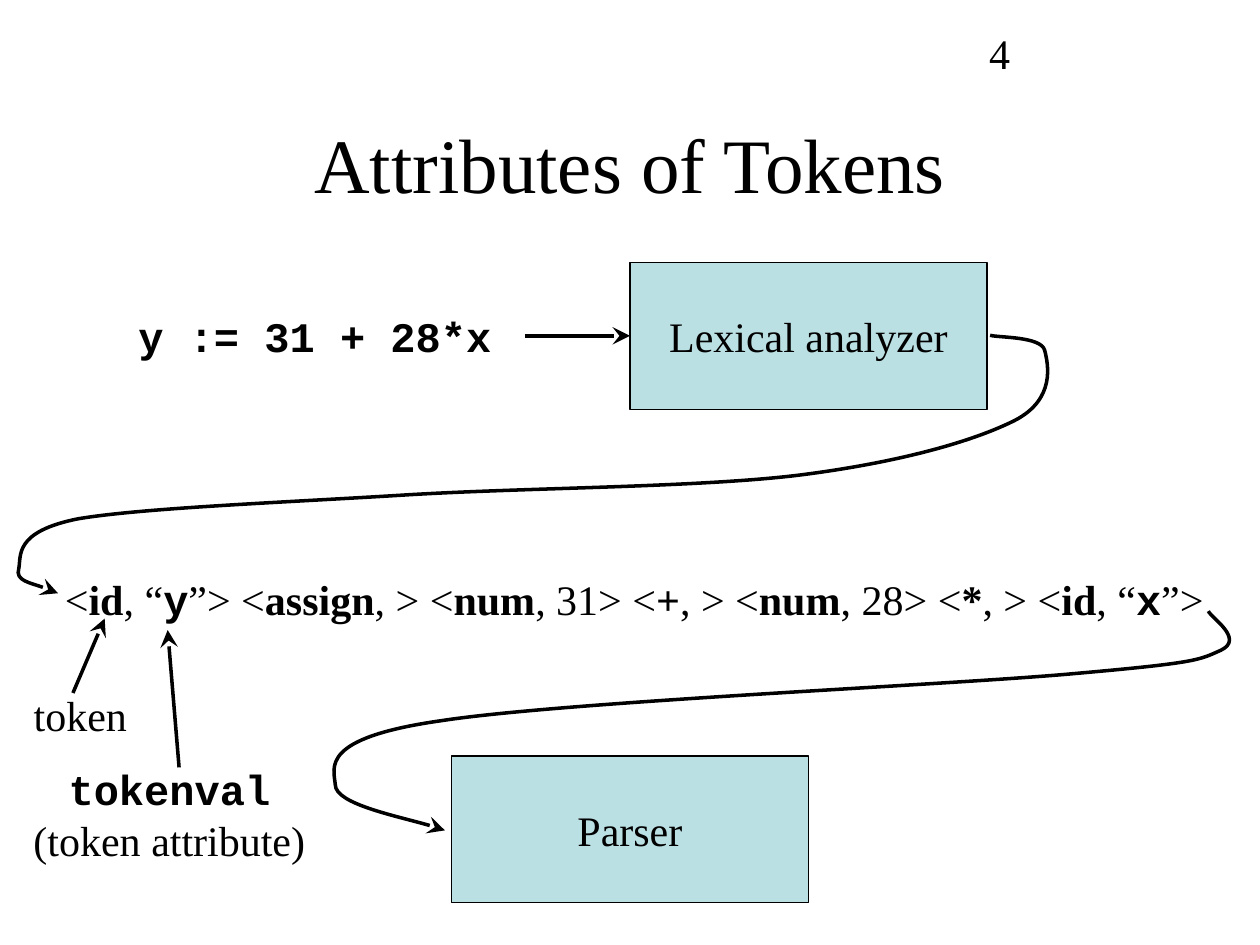
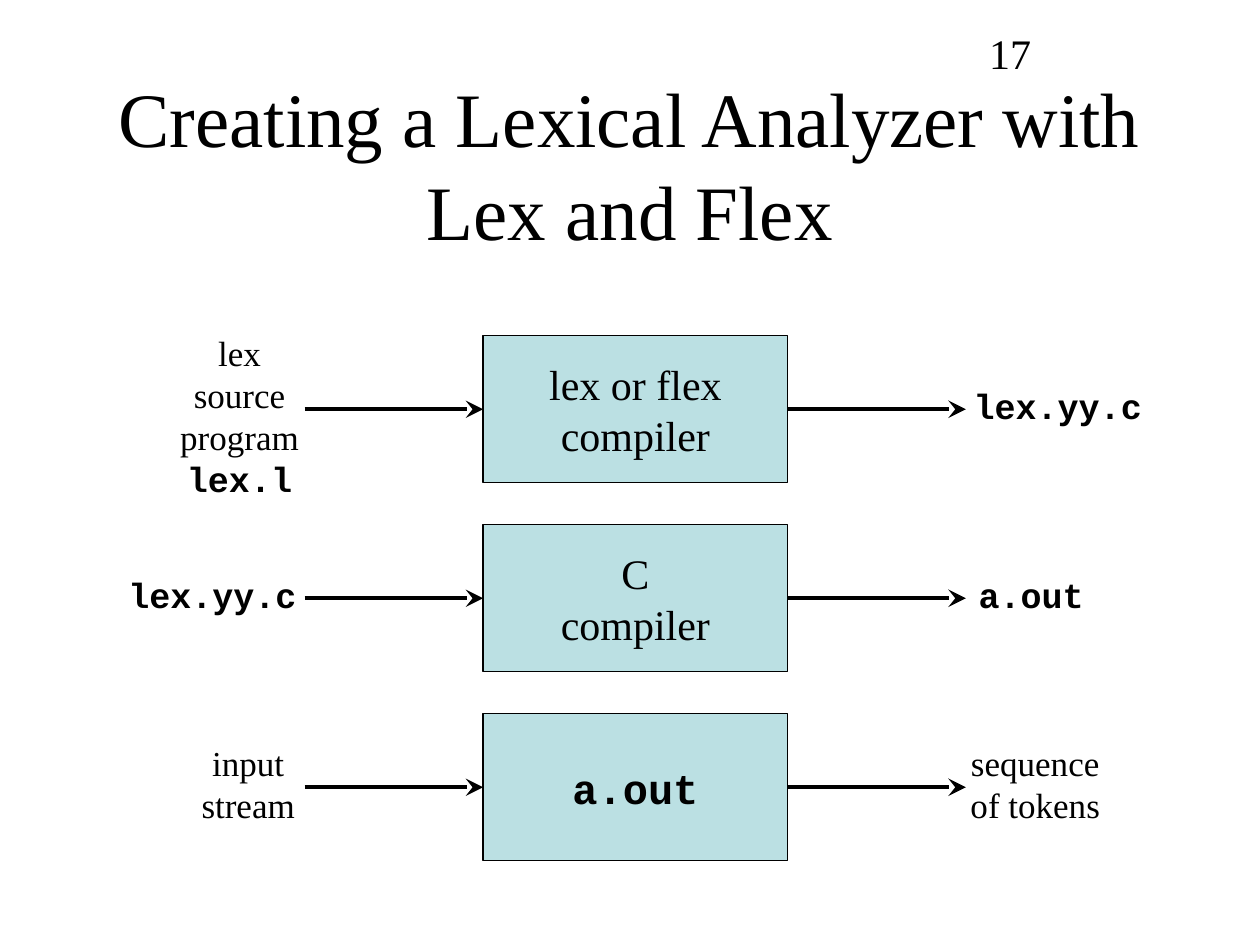
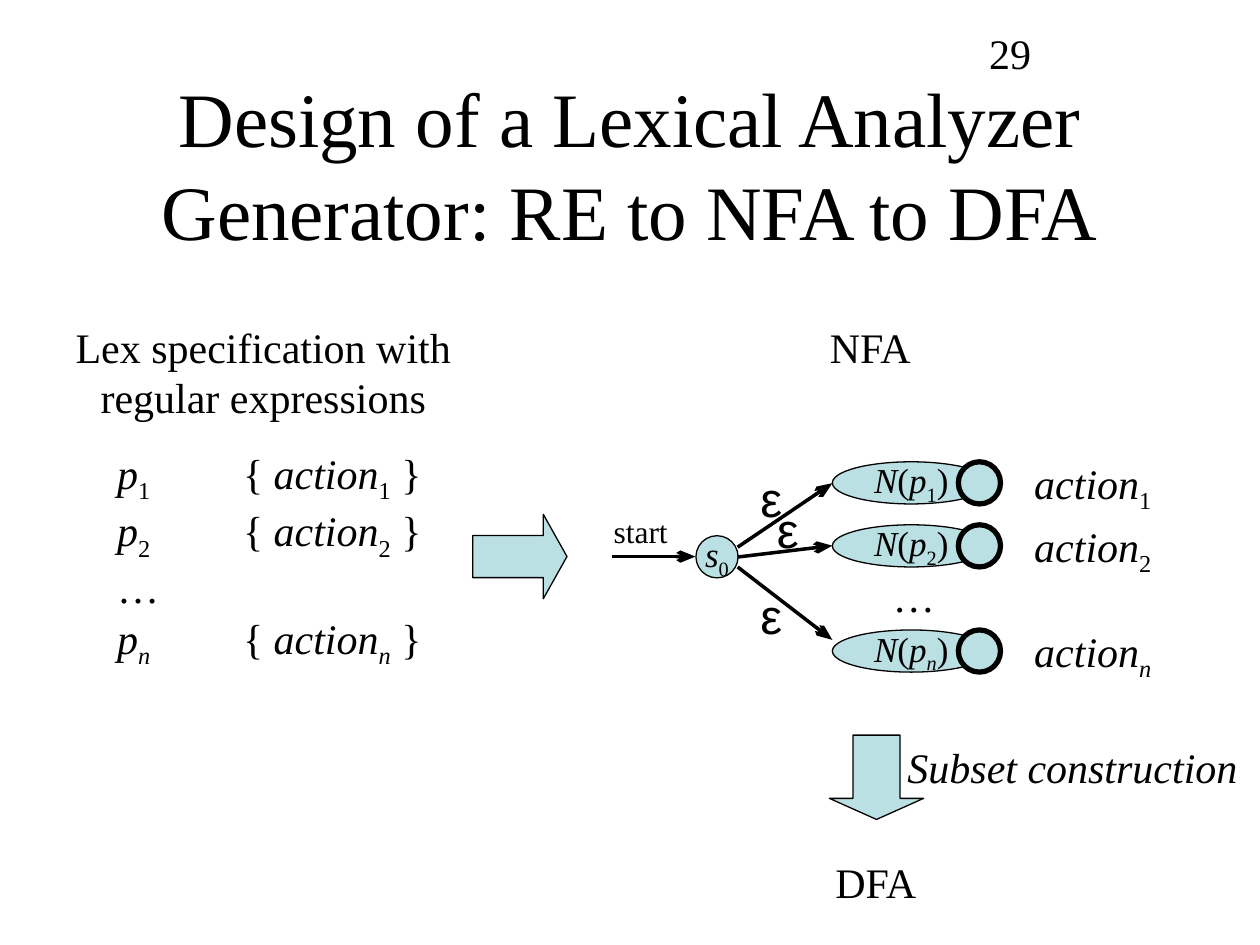
from pptx import Presentation
from pptx.dml.color import RGBColor
from pptx.enum.shapes import MSO_CONNECTOR, MSO_SHAPE
from pptx.enum.text import MSO_ANCHOR, MSO_AUTO_SIZE, PP_ALIGN
from pptx.oxml.ns import qn
from pptx.util import Cm, Pt
from lxml.etree import SubElement

BLACK = RGBColor(0, 0, 0)
TEAL = RGBColor(0xBB, 0xE0, 0xE3)
SERIF, MONO, SANS = "Times New Roman", "Courier New", "Arial"
BOX_H = 2.96
DOT = 0.85
SLACK = 0.1


def write(frame, runs, size=24, align=PP_ALIGN.LEFT, font=SERIF, tab=None):
    """Fill a frame with (text, style) runs: b bold, i italic, m mono, s subscript."""
    para = frame.paragraphs[0]
    para.alignment = align
    if tab:
        stops = SubElement(para._p.get_or_add_pPr(), qn("a:tabLst"))
        SubElement(stops, qn("a:tab"), pos=str(Cm(tab)), algn="l")
    for text, style in runs:
        for row, part in enumerate(text.split("\n")):
            if row:
                para.add_line_break()
            if not part:
                continue
            run = para.add_run()
            run.text = part
            face = run.font
            face.size = Pt(size)
            face.name = MONO if "m" in style else font
            face.bold = "b" in style
            face.italic = "i" in style
            face.color.rgb = BLACK
            if "s" in style:
                run._r.get_or_add_rPr().set("baseline", "-25000")


def label(slide, place, runs, align=PP_ALIGN.LEFT, **look):
    """Add a text box that does not wrap, with a little slack in its width."""
    left, top, width, height = place
    if align == PP_ALIGN.CENTER:
        left -= SLACK / 2
    frame = slide.shapes.add_textbox(
        Cm(left), Cm(top), Cm(width + SLACK), Cm(height)).text_frame
    frame.word_wrap = False
    frame.auto_size = MSO_AUTO_SIZE.SHAPE_TO_FIT_TEXT
    write(frame, runs, align=align, **look)


def block(slide, kind, place, runs=(), size=24, width=0.75):
    """Add a teal shape with a black outline and centred text."""
    shape = slide.shapes.add_shape(kind, *map(Cm, place))
    shape.shadow.inherit = False
    shape.fill.solid()
    shape.fill.fore_color.rgb = TEAL
    shape.line.color.rgb = BLACK
    shape.line.width = Pt(width)
    frame = shape.text_frame
    frame.word_wrap = False
    frame.vertical_anchor = MSO_ANCHOR.MIDDLE
    write(frame, runs, size, PP_ALIGN.CENTER)
    return shape


def ink(item, head):
    """Give a line its colour, width and long arrowhead."""
    item.line.color.rgb = BLACK
    item.line.width = Pt(2)
    props = item.element.spPr
    SubElement(props.find(qn("a:ln")), qn("a:tailEnd"), type=head,
               w="lg" if head == "stealth" else "med", len="lg")
    return props


def arrow(slide, start, end, head="stealth", source=None, target=None):
    """Add a straight arrow, joined to a source's right or a target's left."""
    line = slide.shapes.add_connector(
        MSO_CONNECTOR.STRAIGHT, *map(Cm, (*start, *end)))
    if source:
        line.begin_connect(source, 3)
    if target:
        line.end_connect(target, 1)
    SubElement(ink(line, head), qn("a:effectLst"))


def curve(slide, start, bends):
    """Add a curved arrow through cubic bends of two controls and an end."""
    maker = slide.shapes.build_freeform(*map(Cm, start))
    maker.add_line_segments(
        [tuple(map(Cm, spot)) for bend in bends for spot in bend], close=False)
    shape = maker.convert_to_shape()
    shape.shadow.inherit = False
    shape.fill.background()
    ink(shape, "stealth")
    legs = list(shape.element.iter(qn("a:lnTo")))
    road = legs[0].getparent()
    for first in range(0, len(legs), 3):
        cubic = SubElement(road, qn("a:cubicBezTo"))
        for leg in legs[first:first + 3]:
            cubic.append(leg[0])
            road.remove(leg)


def page(deck, title, number):
    """Add a blank slide with its title and page number."""
    slide = deck.slides.add_slide(deck.slide_layouts[6])
    frame = slide.shapes.add_textbox(
        Cm(1.9), Cm(1.7), Cm(21.6), Cm(3.18)).text_frame
    frame.word_wrap = True
    frame.vertical_anchor = MSO_ANCHOR.MIDDLE
    write(frame, [(title, "")], 44, PP_ALIGN.CENTER)
    corner = slide.shapes.add_textbox(Cm(19.69), Cm(0.43), Cm(5.28), Cm(1.27))
    corner.text_frame.word_wrap = True
    write(corner.text_frame, [(str(number), "")])
    return slide


def tokens(deck):
    """Build the slide on the attributes of tokens."""
    slide = page(deck, "Attributes of Tokens", 4)
    lexer = block(slide, MSO_SHAPE.RECTANGLE, (12.7, 5.29, 7.2, BOX_H),
                  [("Lexical analyzer", "")])
    block(slide, MSO_SHAPE.RECTANGLE, (9.1, 15.24, 7.2, BOX_H),
          [("Parser", "")])
    label(slide, (1.06, 11.43, 23.44, 1.27), [
        ("<", ""), ("id", "b"), (", “", ""), ("y", "bm"), ("”> <", ""),
        ("assign", "b"), (", > <", ""), ("num", "b"), (", 31> <", ""),
        ("+", "b"), (", > <", ""), ("num", "b"), (", 28> <", ""),
        ("*", "b"), (", > <", ""), ("id", "b"), (", “", ""),
        ("x", "bm"), ("”>", "")])
    label(slide, (2.54, 6.14, 7.62, 1.27), [("y := 31 + 28*x", "bm")])
    arrow(slide, (10.58, 6.77), (12.7, 6.77), target=lexer)
    curve(slide, (19.96, 6.76), [
        ((20.14, 6.81), (20.98, 6.78), (21.06, 7.06)),
        ((21.13, 7.34), (21.29, 8.05), (20.45, 8.48)),
        ((19.63, 8.89), (18.16, 9.32), (16.1, 9.58)),
        ((14.05, 9.83), (10.57, 9.83), (8.15, 9.98)),
        ((5.72, 10.13), (2.87, 10.24), (1.57, 10.46)),
        ((0.28, 10.72), (0.43, 11.2), (0.38, 11.46)),
        ((0.3, 11.71), (0.99, 11.86), (1.17, 11.96))])
    curve(slide, (24.36, 12.32), [
        ((24.41, 12.45), (25.1, 12.88), (24.61, 13.11)),
        ((24.16, 13.31), (24.16, 13.36), (21.54, 13.59)),
        ((18.92, 13.82), (11.35, 14.15), (8.89, 14.53)),
        ((6.43, 14.88), (6.73, 15.47), (6.76, 15.82)),
        ((6.76, 16.21), (8.51, 16.56), (8.97, 16.74))])
    label(slide, (0.43, 13.77, 2.39, 1.27), [("token", "")])
    label(slide, (0.43, 15.27, 5.97, 2.29),
          [("tokenval\n", "bm"), ("(token attribute)", "")],
          align=PP_ALIGN.CENTER)
    arrow(slide, (1.47, 13.97), (2.11, 12.47))
    arrow(slide, (3.61, 15.47), (3.38, 12.7))


def stages(deck):
    """Build the slide on the three stages from source to tokens."""
    slide = page(deck, "Creating a Lexical Analyzer with Lex and Flex", 17)
    rows = [
        ([("lex or flex\ncompiler", "")],
         (3.38, 6.55, 2.9, 3.66),
         [("lex\nsource\nprogram\n", ""), ("lex.l", "bm")],
         (19.38, 7.62, 3.89, 1.12), [("lex.yy.c", "bm")]),
        ([("C\ncompiler", "")],
         (2.34, 11.43, 3.89, 1.12), [("lex.yy.c", "bm")],
         (19.48, 11.43, 2.62, 1.12), [("a.out", "bm")]),
        ([("a.out", "bm")],
         (3.81, 14.82, 2.39, 1.96), [("input\nstream", "")],
         (19.31, 14.82, 3.12, 1.96), [("sequence\nof tokens", "")]),
    ]
    for row, (tool, left, given, right, made) in enumerate(rows):
        top = 6.77 + 3.81 * row
        mid = top + BOX_H / 2
        box = block(slide, MSO_SHAPE.RECTANGLE, (9.74, top, 6.14, BOX_H), tool)
        label(slide, left, given, size=20, align=PP_ALIGN.CENTER)
        label(slide, right, made, size=20, align=PP_ALIGN.CENTER)
        arrow(slide, (6.14, mid), (9.74, mid), target=box)
        arrow(slide, (15.88, mid), (19.47, mid), source=box)


def rule(mark, style):
    """Return the runs of one pattern and its action."""
    return [("p", "i"), (mark, style), ("\t{ ", ""), ("action", "i"),
            (mark, style), (" }", "")]


def design(deck):
    """Build the slide from regular expressions to NFA and DFA."""
    slide = page(
        deck, "Design of a Lexical Analyzer Generator: RE to NFA to DFA", 29)
    marks = [("1", "s"), ("2", "s"), ("n", "is")]
    block(slide, MSO_SHAPE.OVAL, (14.03, 10.8, DOT, DOT),
          [("s", "i"), ("0", "s")], 20)
    label(slide, (12.12, 10.2, 1.6, 1.02), [("start", "")], size=18)
    arrow(slide, (12.34, 11.22), (14.02, 11.22), "arrow")
    tops = (9.31, 10.58, 12.7)
    ends = (9.74, 11, 12.9)
    signs = ((15.08, 9.32), (15.41, 9.95), (15.08, 11.68))
    for row, (mark, top, end, sign) in enumerate(zip(marks, tops, ends, signs)):
        block(slide, MSO_SHAPE.OVAL, (16.78, top, 3.18, DOT),
              [("N", "i"), ("(", ""), ("p", "i"), mark, (")", "")], 20)
        block(slide, MSO_SHAPE.OVAL, (19.32, top, DOT, DOT), width=3)
        arrow(slide, (14.87, 11.03 + 0.2 * row), (16.78, end), "arrow")
        label(slide, (*sign, 0.94, 1.45), [("ε", "")], size=28, font=SANS)
        label(slide, (20.6, top - 0.22, 2.87, 1.42), [("action", "i"), mark])
    label(slide, (17.75, 11.38, 1.35, 1.27), [("…", "")])
    first, second, final = (rule(*mark) for mark in marks)
    label(slide, (2.11, 8.89, 6.63, 4.75),
          [*first, ("\n", ""), *second, ("\n…\n", ""), *final], tab=2.54)
    label(slide, (1.27, 6.35, 8.08, 2.29),
          [("Lex specification with\nregular expressions", "")],
          align=PP_ALIGN.CENTER)
    label(slide, (16.48, 6.35, 2.18, 1.27), [("NFA", "")])
    label(slide, (16.59, 17.15, 2.18, 1.27), [("DFA", "")])
    ahead = block(slide, MSO_SHAPE.RIGHT_ARROW, (9.53, 10.37, 1.9, 1.7))
    ahead.adjustments[1] = 0.28
    down = block(slide, MSO_SHAPE.DOWN_ARROW, (16.72, 14.82, 1.9, 1.7))
    down.adjustments[1] = 0.25
    label(slide, (18.04, 14.82, 7.16, 1.27), [("Subset construction", "i")],
          align=PP_ALIGN.CENTER)


def main():
    """Build and save the deck."""
    deck = Presentation()
    deck.slide_width, deck.slide_height = Cm(25.4), Cm(19.05)
    tokens(deck)
    stages(deck)
    design(deck)
    deck.save("out.pptx")


if __name__ == "__main__":
    main()
